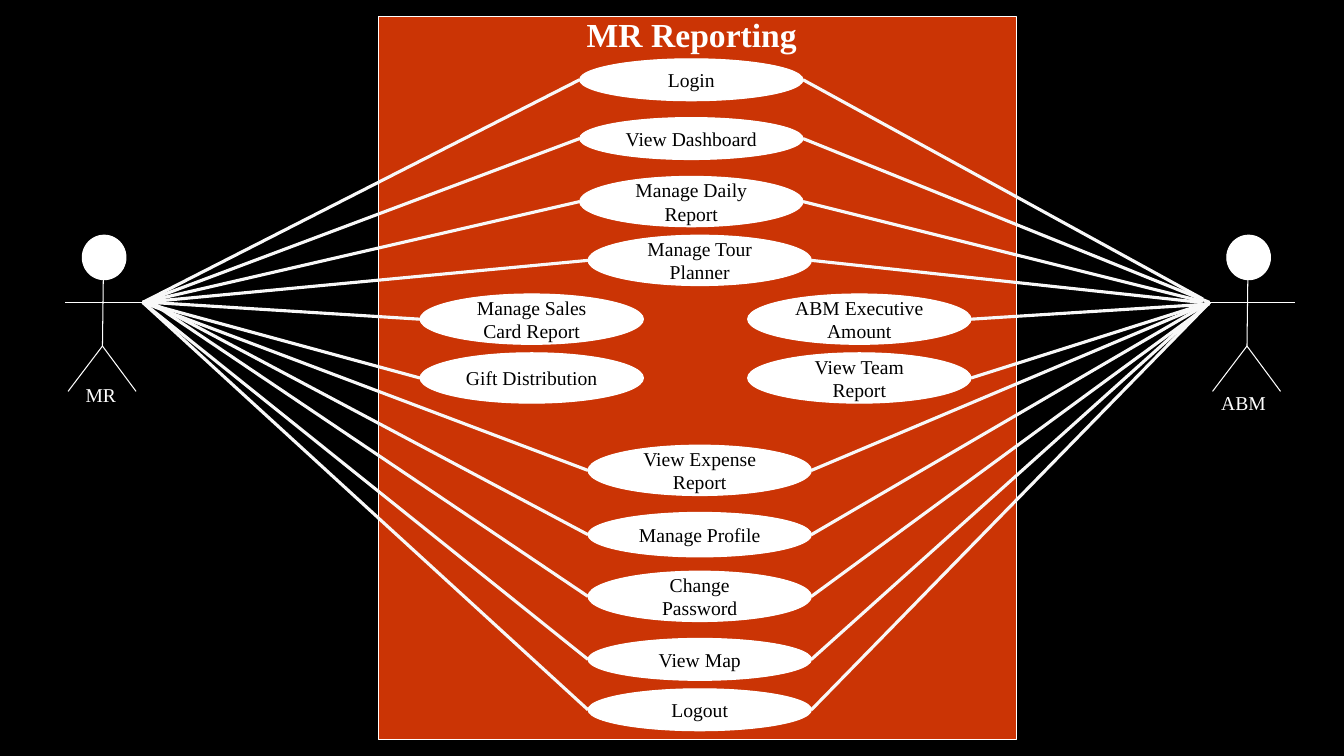
from dataclasses import dataclass

from lxml import etree
from pptx import Presentation
from pptx.dml.color import RGBColor
from pptx.enum.shapes import MSO_CONNECTOR, MSO_SHAPE
from pptx.enum.text import MSO_ANCHOR, MSO_AUTO_SIZE, PP_ALIGN
from pptx.oxml.ns import qn
from pptx.util import Inches, Pt

STRAIGHT = MSO_CONNECTOR.STRAIGHT
RECTANGLE, OVAL = MSO_SHAPE.RECTANGLE, MSO_SHAPE.OVAL
TOP, MIDDLE = MSO_ANCHOR.TOP, MSO_ANCHOR.MIDDLE
LEFT, CENTER = PP_ALIGN.LEFT, PP_ALIGN.CENTER
NO_AUTOFIT = MSO_AUTO_SIZE.NONE

COLORS = {
    "background": "000000",
    "system": "CB3405",
    "white": "FFFFFF",
    "link": "F8F8F8",
    "case_text": "000000",
}
FONT = "Times New Roman"
SLIDE_WIDTH, SLIDE_HEIGHT = Inches(13.33), Inches(7.5)
COLUMNS, ROWS = 160, 90
CASE_WIDTH = 26.6
THIN, THICK = 0.75, 2.25

Point = tuple[float, float]


@dataclass
class UseCase:
    name: str
    column: float
    row: float
    height: float
    mr_hub: Point | None = (17, 36)
    abm_hub: Point | None = (144, 36)


@dataclass
class Actor:
    name: str
    center: float
    arms: Point
    label_column: float
    label_row: float
    label_width: float


USE_CASES = [
    UseCase("Login", 69, 7, 5, abm_hub=(143.2, 35.6)),
    UseCase("View Dashboard", 69, 14, 5),
    UseCase("Manage Daily Report", 69, 21, 6, abm_hub=(143.2, 35.9)),
    UseCase("Manage Tour Planner", 70, 28, 6, abm_hub=(143, 36)),
    UseCase("Manage Sales Card Report", 50, 35, 6, mr_hub=(18, 36), abm_hub=None),
    UseCase("Gift Distribution", 50, 42, 6, abm_hub=None),
    UseCase("ABM Executive Amount", 89, 35, 6, mr_hub=None, abm_hub=(144, 36.2)),
    UseCase("View Team Report", 89, 42, 6, mr_hub=None),
    UseCase("View Expense Report", 70, 53, 6),
    UseCase("Manage Profile", 70, 61, 5.3, mr_hub=(18, 36)),
    UseCase("Change Password", 70, 68, 6, mr_hub=(18, 36), abm_hub=(143, 37)),
    UseCase("View Map", 70, 76, 5),
    UseCase("Logout", 70, 82, 5),
]
ACTORS = [
    Actor("MR", 12.2, (7.8, 17), 9, 45, 6.1),
    Actor("ABM", 148.45, (144, 154.2), 144.2, 46, 7.8),
]


def across(columns: float) -> int:
    return round(SLIDE_WIDTH * columns / COLUMNS)


def down(rows: float) -> int:
    return round(SLIDE_HEIGHT * rows / ROWS)


def color(name: str) -> RGBColor:
    return RGBColor.from_string(COLORS[name])


def add_line(page, start: Point, end: Point, color_name: str, width: float) -> None:
    line = page.shapes.add_connector(
        STRAIGHT, across(start[0]), down(start[1]), across(end[0]), down(end[1]))
    line.line.color.rgb = color(color_name)
    line.line.width = Pt(width)
    etree.SubElement(line.element.spPr, qn("a:effectLst"))


def add_outlined(page, kind, column: float, row: float, width: float,
                 height: float, fill: str):
    shape = page.shapes.add_shape(
        kind, across(column), down(row), across(width), down(height))
    shape.shadow.inherit = False
    shape.fill.solid()
    shape.fill.fore_color.rgb = color(fill)
    shape.line.color.rgb = color("white")
    shape.line.width = Pt(THIN)
    return shape


def write(box, text: str, size: float, color_name: str, align=CENTER,
          anchor=TOP, wrap: bool = False, bold: bool = False) -> None:
    frame = box.text_frame
    frame.text = text
    frame.word_wrap = wrap
    frame.auto_size = NO_AUTOFIT
    frame.vertical_anchor = anchor
    para = frame.paragraphs[0]
    para.alignment = align
    para.font.name = FONT
    para.font.size = Pt(size)
    para.font.bold = bold
    para.font.color.rgb = color(color_name)


def draw_system(page) -> None:
    boundary = add_outlined(page, RECTANGLE, 45, 2, 76, 86, "system")
    title = page.shapes.title
    title.left, title.top = across(68.5), down(1)
    title.width, title.height = across(27.7), down(6)
    write(title, "MR Reporting", 24, "white", bold=True)
    # Bring the title in front of the boundary
    boundary.element.addnext(title.element)


def draw_actor(page, actor: Actor) -> None:
    center, hip = actor.center, (actor.center, 41.2)
    add_outlined(page, OVAL, center - 2.4, 28, 5.2, 5.3, "white")
    limbs = [
        ((center + 0.1, 33.3), hip),
        (hip, (center - 4.1, 46.6)),
        (hip, (center + 4, 46.6)),
        ((actor.arms[0], 36), (actor.arms[1], 36)),
    ]
    for start, end in limbs:
        add_line(page, start, end, "white", THIN)
    label = page.shapes.add_textbox(
        across(actor.label_column), down(actor.label_row),
        across(actor.label_width), down(4.1))
    write(label, actor.name, 14, "white", align=LEFT)


def draw_use_case(page, case: UseCase) -> None:
    middle = case.row + case.height / 2
    if case.mr_hub:
        add_line(page, case.mr_hub, (case.column, middle), "link", THICK)
    if case.abm_hub:
        add_line(page, (case.column + CASE_WIDTH, middle), case.abm_hub, "link", THICK)
    oval = add_outlined(
        page, OVAL, case.column, case.row, CASE_WIDTH, case.height, "white")
    write(oval, case.name, 14, "case_text", anchor=MIDDLE, wrap=True)


def main() -> None:
    deck = Presentation()
    deck.slide_width, deck.slide_height = SLIDE_WIDTH, SLIDE_HEIGHT
    page = deck.slides.add_slide(deck.slide_layouts[5])
    page.background.fill.solid()
    page.background.fill.fore_color.rgb = color("background")

    # System boundary, actors and use cases
    draw_system(page)
    for actor in ACTORS:
        draw_actor(page, actor)
    for case in USE_CASES:
        draw_use_case(page, case)

    deck.save("out.pptx")


if __name__ == "__main__":
    main()
